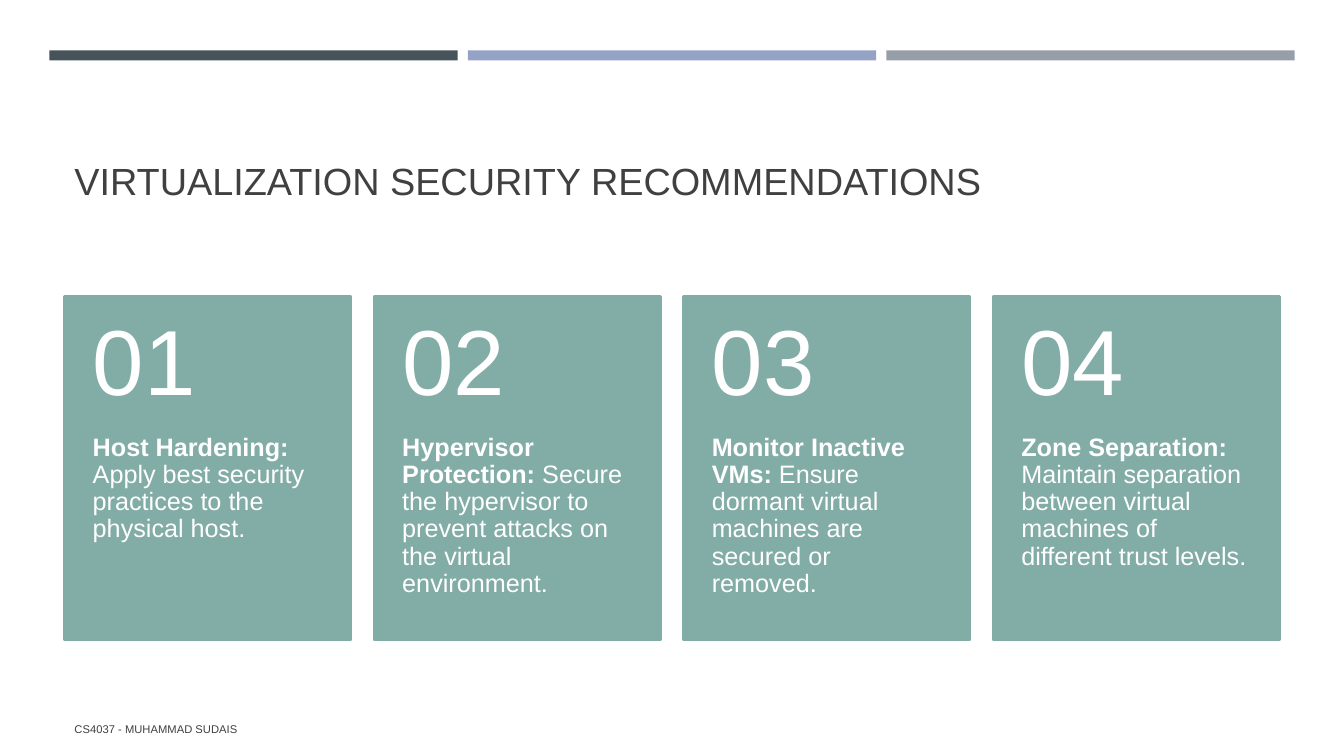
from dataclasses import dataclass

from pptx import Presentation
from pptx.dml.color import RGBColor
from pptx.enum.shapes import MSO_SHAPE
from pptx.enum.text import MSO_ANCHOR
from pptx.shapes.autoshape import Shape
from pptx.slide import Slide
from pptx.util import Inches, Pt


@dataclass(frozen=True)
class Theme:
    font: str = "Arial"
    ink: str = "404040"
    card: str = "82ACA6"
    card_text: str = "FFFFFF"
    bands: tuple[str, ...] = ("465359", "94A3C5", "969FA7")
    title_size: float = 27
    number_size: float = 66
    body_size: float = 18
    footer_size: float = 8


@dataclass(frozen=True)
class Box:
    left: float
    top: float
    width: float
    height: float


@dataclass(frozen=True)
class Margins:
    left: float = 0.1
    top: float = 0.05
    right: float = 0.1
    bottom: float = 0.05


@dataclass(frozen=True)
class Recommendation:
    heading: str
    advice: str


THEME = Theme()
RECOMMENDATIONS = (
    Recommendation("Host Hardening:", "Apply best security practices to the physical host."),
    Recommendation("Hypervisor Protection:",
                   "Secure the hypervisor to prevent attacks on the virtual environment."),
    Recommendation("Monitor Inactive VMs:",
                   "Ensure dormant virtual machines are secured or removed."),
    Recommendation("Zone Separation:",
                   "Maintain separation between virtual machines of different trust levels."),
)

BAND_LEFT, BAND_TOP, BAND_WIDTH, BAND_HEIGHT, BAND_STEP = 0.49, 0.5, 4.05, 0.1, 4.15
CARD_LEFT, CARD_TOP, CARD_WIDTH, CARD_HEIGHT, CARD_STEP = 0.64, 2.94, 2.84, 3.41, 3.07
NUMBER_HEIGHT = 1.37
NUMBER_MARGINS = Margins(0.28, 0.18, 0.28, 0.18)
ADVICE_MARGINS = Margins(0.28, 0, 0.28, 0.36)


def add_rectangle(slide: Slide, box: Box, color: str) -> Shape:
    rectangle = slide.shapes.add_shape(
        MSO_SHAPE.RECTANGLE, Inches(box.left), Inches(box.top),
        Inches(box.width), Inches(box.height))
    rectangle.shadow.inherit = False
    rectangle.fill.solid()
    rectangle.fill.fore_color.rgb = RGBColor.from_string(color)
    rectangle.line.fill.background()
    return rectangle


def add_text(slide: Slide, box: Box, runs: tuple[tuple[str, bool], ...], size: float,
             color: str, anchor: MSO_ANCHOR, margins: Margins = Margins(),
             line_spacing: float = 0.9) -> None:
    """Add a one-paragraph text box; each run is its text and whether it is bold."""
    frame = slide.shapes.add_textbox(
        Inches(box.left), Inches(box.top), Inches(box.width), Inches(box.height)).text_frame
    frame.word_wrap = True
    frame.vertical_anchor = anchor
    frame.margin_left, frame.margin_right = Inches(margins.left), Inches(margins.right)
    frame.margin_top, frame.margin_bottom = Inches(margins.top), Inches(margins.bottom)
    paragraph = frame.paragraphs[0]
    paragraph.line_spacing = line_spacing
    paragraph.font.name = THEME.font
    paragraph.font.size = Pt(size)
    paragraph.font.color.rgb = RGBColor.from_string(color)
    for text, bold in runs:
        run = paragraph.add_run()
        run.text = text
        if bold:
            run.font.bold = True


def add_card(slide: Slide, index: int, recommendation: Recommendation) -> None:
    left = CARD_LEFT + index * CARD_STEP
    card = add_rectangle(slide, Box(left, CARD_TOP, CARD_WIDTH, CARD_HEIGHT), THEME.card)
    card.line.color.rgb = RGBColor.from_string(THEME.card)
    card.line.width = Pt(1.75)
    add_text(slide,
             Box(left, CARD_TOP + NUMBER_HEIGHT, CARD_WIDTH, CARD_HEIGHT - NUMBER_HEIGHT),
             ((recommendation.heading, True), (f" {recommendation.advice}", False)),
             THEME.body_size, THEME.card_text, MSO_ANCHOR.TOP, ADVICE_MARGINS)
    add_text(slide, Box(left, CARD_TOP, CARD_WIDTH, NUMBER_HEIGHT),
             ((f"{index + 1:02}", False),),
             THEME.number_size, THEME.card_text, MSO_ANCHOR.MIDDLE, NUMBER_MARGINS)


def main() -> None:
    presentation = Presentation()
    presentation.slide_width, presentation.slide_height = Inches(13.33), Inches(7.5)
    slide = presentation.slides.add_slide(presentation.slide_layouts[6])

    for index, color in enumerate(THEME.bands):
        add_rectangle(slide, Box(BAND_LEFT + index * BAND_STEP, BAND_TOP,
                                 BAND_WIDTH, BAND_HEIGHT), color)
    add_text(slide, Box(0.64, 0.77, 12.06, 1.3),
             (("VIRTUALIZATION SECURITY RECOMMENDATIONS", False),),
             THEME.title_size, THEME.ink, MSO_ANCHOR.BOTTOM)
    add_text(slide, Box(0.64, 7.03, 7.56, 0.4), (("CS4037 - MUHAMMAD SUDAIS", False),),
             THEME.footer_size, THEME.ink, MSO_ANCHOR.MIDDLE, line_spacing=1.0)
    for index, recommendation in enumerate(RECOMMENDATIONS):
        add_card(slide, index, recommendation)

    presentation.save("out.pptx")


if __name__ == "__main__":
    main()
